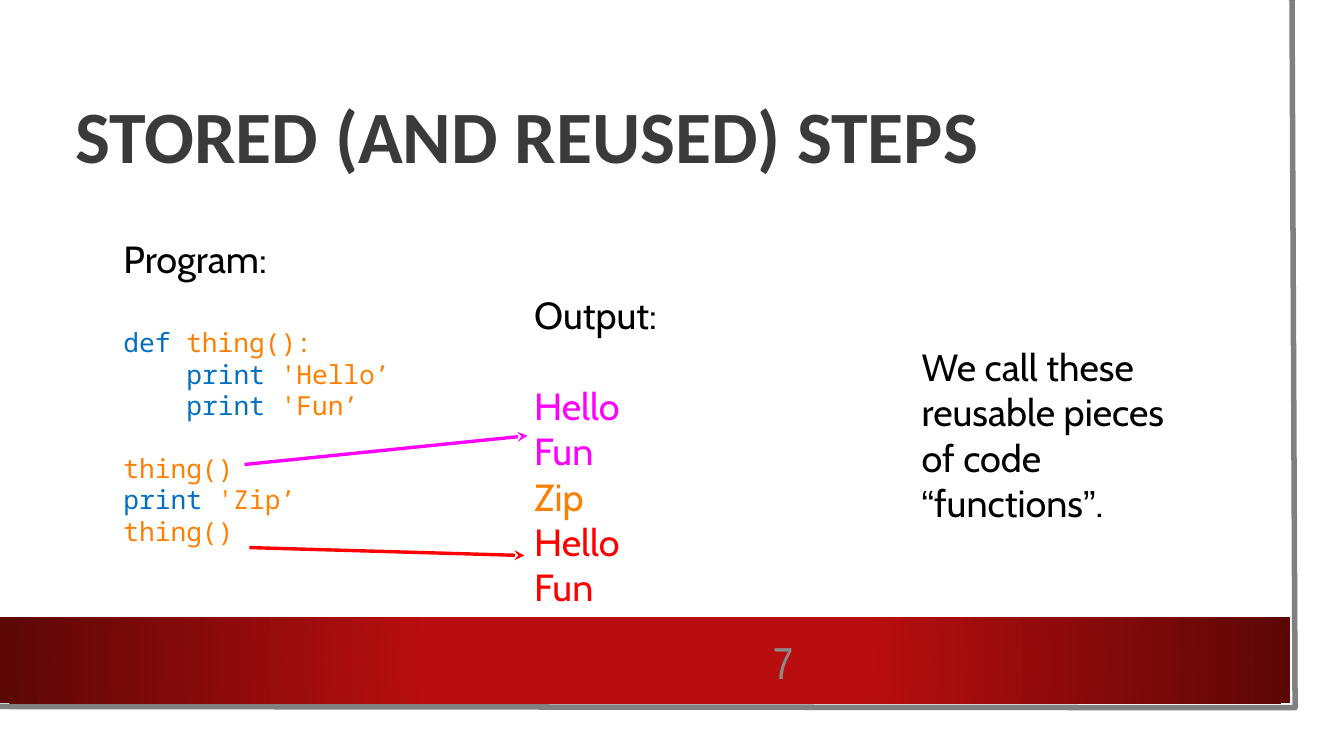
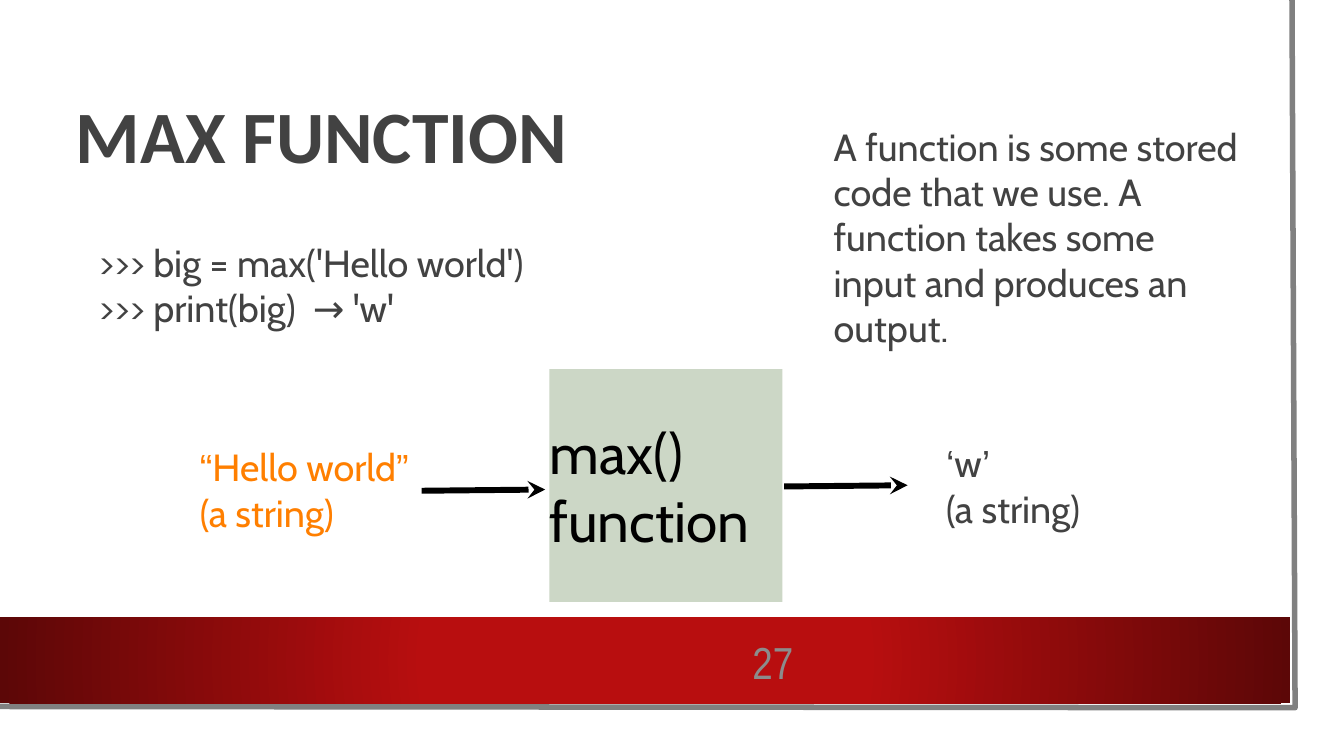
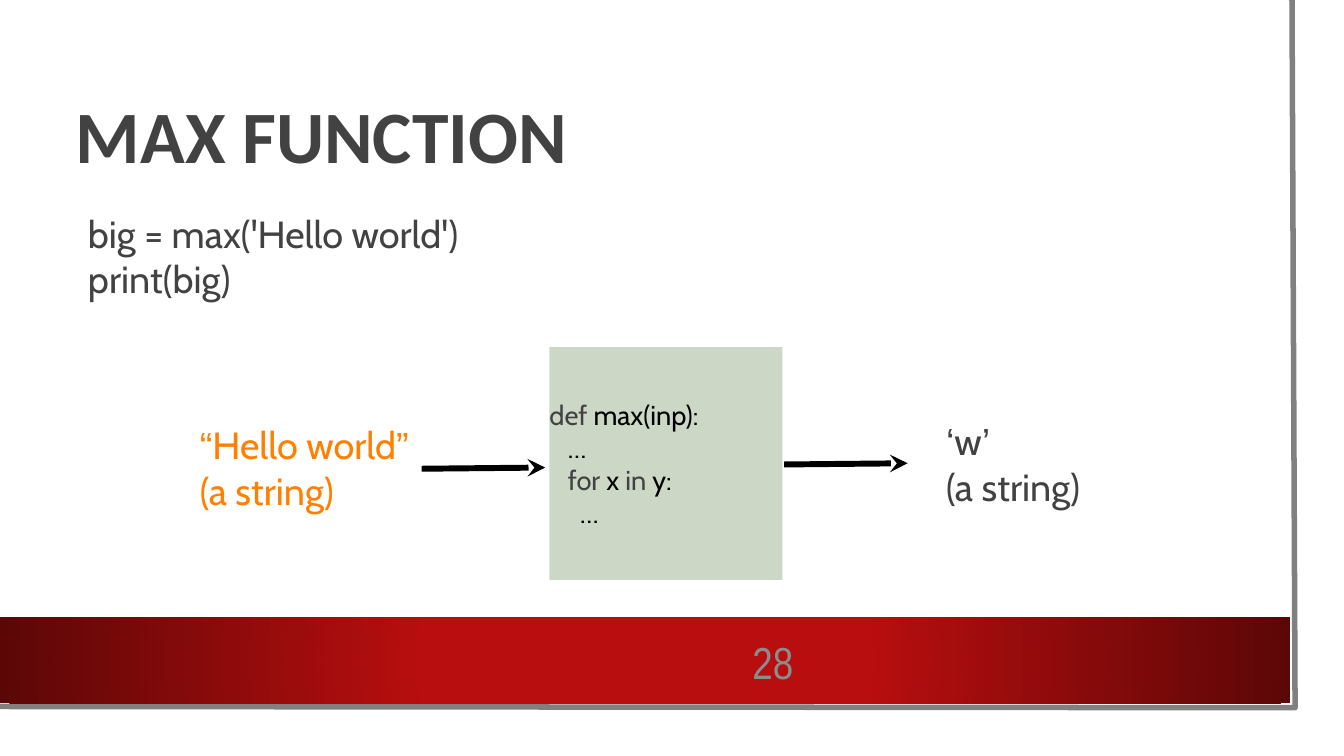
"""Builds three slides that introduce functions and the max function."""
import dataclasses

import lxml.etree
import pptx
import pptx.dml.color
import pptx.enum.dml
import pptx.enum.shapes
import pptx.enum.text
import pptx.oxml.ns
import pptx.util

Inches = pptx.util.Inches
Pt = pptx.util.Pt
ALIGN = pptx.enum.text.PP_ALIGN
RECTANGLE = pptx.enum.shapes.MSO_SHAPE.RECTANGLE


@dataclasses.dataclass(frozen=True)
class Theme:
    """Colours, fonts and type sizes of the deck."""
    paper: str = "FFFFFF"
    edge: str = "808080"
    band: str = "B80E0F"
    band_end: str = "5C0707"
    heading: str = "3A3A3A"
    grey: str = "424242"
    black: str = "000000"
    number: str = "8C8C8C"
    keyword: str = "0070C0"
    orange: str = "FF7F00"
    magenta: str = "FF00FF"
    red: str = "FF0000"
    box: str = "CCD7C6"
    title_font: str = "Calibri"
    body_font: str = "Cabin"
    code_font: str = "Noto Sans Mono"
    quote_font: str = "Arial"
    number_font: str = "Arial Narrow"
    title_size: float = 87
    body_size: float = 44.5
    code_size: float = 30.9
    box_size: float = 66.8
    listing_size: float = 32.1
    number_size: float = 52.8
    body_gap: float = 53.4
    code_gap: float = 37


THEME = Theme()


@dataclasses.dataclass
class Span:
    """A piece of a line, with what differs from that line."""
    text: str
    color: str = None
    font: str = None


@dataclasses.dataclass
class Line:
    """One paragraph and its style."""
    content: object
    color: str = THEME.black
    size: float = THEME.body_size
    font: str = THEME.body_font
    bold: bool = False
    before: float = 0
    indent: float = 0
    spacing: float = None
    align: object = ALIGN.LEFT


def rgb(value):
    """Return a colour from its hex digits."""
    return pptx.dml.color.RGBColor.from_string(value)


def add_element(parent, tag, **attributes):
    """Append a DrawingML element to a parent."""
    return lxml.etree.SubElement(parent, pptx.oxml.ns.qn(tag), attributes)


def quoted(inner, marks="\u201c\u201d"):
    """Return spans for words between quotation marks."""
    opening, closing = (Span(mark, font=THEME.quote_font) for mark in marks)
    return [opening, Span(inner), closing]


def code(rest, keyword="", **style):
    """Return a line of program code with an optional keyword."""
    spans = [Span(keyword, THEME.keyword)] if keyword else []
    return Line(spans + [Span(rest)], THEME.orange, THEME.code_size, THEME.code_font, **style)


def write(frame, lines):
    """Fill a text frame with lines, centred vertically and without margins."""
    frame.word_wrap = True
    frame.vertical_anchor = pptx.enum.text.MSO_ANCHOR.MIDDLE
    frame.margin_left = frame.margin_right = frame.margin_top = frame.margin_bottom = 0
    for index, line in enumerate(lines):
        paragraph = frame.add_paragraph() if index else frame.paragraphs[0]
        paragraph.alignment = line.align
        paragraph.space_before = Pt(line.before)
        if line.spacing:
            paragraph.line_spacing = line.spacing
        if line.indent:
            properties = paragraph._p.get_or_add_pPr()
            properties.set("marL", str(Inches(line.indent)))
            properties.set("indent", "0")
        paragraph.font.size = Pt(line.size)
        paragraph.font.name = line.font
        paragraph.font.bold = line.bold
        paragraph.font.color.rgb = rgb(line.color)
        spans = [Span(line.content)] if isinstance(line.content, str) else line.content
        for span in spans:
            run = paragraph.add_run()
            run.text = span.text
            if span.color:
                run.font.color.rgb = rgb(span.color)
            if span.font:
                run.font.name = span.font


def add_text(slide, left, top, width, height, lines):
    """Add a text box."""
    area = map(Inches, (left, top, width, height))
    write(slide.shapes.add_textbox(*area).text_frame, lines)


def add_panel(slide, left, top, width, height, color):
    """Add a filled rectangle without outline or shadow."""
    area = map(Inches, (left, top, width, height))
    panel = slide.shapes.add_shape(RECTANGLE, *area)
    panel.shadow.inherit = False
    panel.fill.solid()
    panel.fill.fore_color.rgb = rgb(color)
    panel.line.fill.background()
    return panel


def add_arrow(slide, start, tip, color, weight):
    """Add a straight arrow that points at its tip."""
    straight = pptx.enum.shapes.MSO_CONNECTOR.STRAIGHT
    arrow = slide.shapes.add_connector(straight, *map(Inches, start + tip))
    arrow.line.color.rgb = rgb(color)
    arrow.line.width = Pt(weight)
    add_element(arrow.line._get_or_add_ln(), "a:tailEnd", type="stealth")
    add_element(arrow._element.spPr, "a:effectLst")


def add_band(slide):
    """Add the footer band, dark at both ends."""
    band = add_panel(slide, 0, 10.1, 21.11, 1.41, THEME.band)
    band.fill.gradient()
    stops = zip(band.fill.gradient_stops, (0.34, 1), (THEME.band, THEME.band_end))
    for stop, position, color in stops:
        stop.position = position
        stop.color.rgb = rgb(color)
    gradient = band._element.spPr.find(pptx.oxml.ns.qn("a:gradFill"))
    gradient.remove(gradient.find(pptx.oxml.ns.qn("a:lin")))
    circle = add_element(gradient, "a:path", path="circle")
    add_element(circle, "a:fillToRect", **dict.fromkeys("ltrb", "50000"))


def add_edge(slide):
    """Add the grey edge along the right and the bottom of the sheet."""
    outline = slide.shapes.build_freeform(Inches(21.14), 0)
    corners = [(Inches(21.19), Inches(11.58)), (Inches(-0.05), Inches(11.56))]
    outline.add_line_segments(corners, close=False)
    edge = outline.convert_to_shape()
    edge.shadow.inherit = False
    edge.fill.background()
    edge.line.color.rgb = rgb(THEME.edge)
    edge.line.width = Pt(6.5)


def add_page(deck, title, number, title_color=THEME.grey):
    """Add a slide with the sheet, band, title and number."""
    slide = deck.slides.add_slide(deck.slide_layouts[6])
    add_panel(slide, 0, 0, 21.6, 11.98, THEME.paper)
    add_edge(slide)
    add_band(slide)
    add_text(slide, 1.24, 1.24, 18.75, 2.08, [
        Line(title, title_color, THEME.title_size, THEME.title_font, bold=True, spacing=0.9)])
    add_text(slide, 11.34, 10.38, 1.64, 0.9, [
        Line(number, THEME.number, THEME.number_size, THEME.number_font, align=ALIGN.RIGHT)])
    return slide


def add_flow(slide, top, function_lines):
    """Add the input, the function box and the output, joined by arrows."""
    function_box = add_panel(slide, 8.99, top, 3.81, 3.81, THEME.box)
    write(function_box.text_frame, function_lines)
    add_text(slide, 3.27, top + 1.22, 3.68, 1.5, [
        Line(quoted("Hello world"), THEME.orange), Line("(a string)", THEME.orange)])
    add_text(slide, 15.48, top + 1.15, 2.46, 1.5, [
        Line(quoted("w", "\u2018\u2019"), THEME.grey), Line("(a string)", THEME.grey)])
    for left, drop in ((6.9, 1.99), (12.83, 1.92)):
        add_arrow(slide, (left, top + drop), (left + 2.02, top + drop - 0.02), THEME.black, 7)


def add_stored_steps(deck):
    """Add the slide on stored steps."""
    slide = add_page(deck, "STORED (AND REUSED) STEPS", "7", THEME.heading)
    add_text(slide, 8.74, 4.84, 3.09, 5.07, [
        Line("Output:"),
        Line("Hello", THEME.magenta, before=THEME.body_gap),
        Line("Fun", THEME.magenta),
        Line("Zip", THEME.orange),
        Line("Hello", THEME.red),
        Line("Fun", THEME.red)])
    add_text(slide, 2.02, 3.83, 4.41, 5.14, [
        Line("Program:"),
        code("thing():", "def ", before=THEME.body_gap),
        code("'Hello\u2019", "print ", indent=1.03),
        code("'Fun\u2019", "print ", indent=1.03),
        code("thing()", before=THEME.code_gap),
        code("'Zip\u2019", "print "),
        code("thing()")])
    add_arrow(slide, (4, 7.6), (8.63, 7.13), THEME.magenta, 4)
    add_arrow(slide, (4.08, 8.96), (8.58, 9.09), THEME.red, 4)
    add_text(slide, 15.08, 5.61, 4.38, 3, [
        Line([Span("We call these reusable pieces of code "), *quoted("functions"), Span(".")])])


def add_max_call(deck):
    """Add the slide that calls max."""
    slide = add_page(deck, "MAX FUNCTION", "27")
    add_text(slide, 1.62, 3.91, 7.73, 1.5, [
        Line(">>> big = max('Hello world')", THEME.grey),
        Line(">>> print(big)  \u2192 'w'", THEME.grey)])
    add_flow(slide, 6.04, [Line(word, size=THEME.box_size) for word in ("max()", "function")])
    add_text(slide, 13.64, 2.4, 6.68, 2.95, [
        Line("A function is some stored code that we use. "
             "A function takes some input and produces an output.", THEME.grey)])


def add_max_definition(deck):
    """Add the slide that looks inside max."""
    slide = add_page(deck, "MAX FUNCTION", "28")
    add_text(slide, 1.44, 3.44, 6.47, 1.5, [
        Line("big = max('Hello world')", THEME.grey), Line("print(big)", THEME.grey)])
    loop = [Span("for ", THEME.grey), Span("x "), Span("in ", THEME.grey), Span("y:")]
    listing = [
        ([Span("def ", THEME.grey), Span("max(inp):")], 0),
        ("\u2026", 0.3),
        (loop, 0.3),
        ("\u2026", 0.5)]
    add_flow(slide, 5.68, [
        Line(content, size=THEME.listing_size, indent=indent) for content, indent in listing])


def main():
    """Build and save the deck."""
    deck = pptx.Presentation()
    deck.slide_width, deck.slide_height = Inches(21.99), Inches(12.37)
    add_stored_steps(deck)
    add_max_call(deck)
    add_max_definition(deck)
    deck.save("out.pptx")


main()
